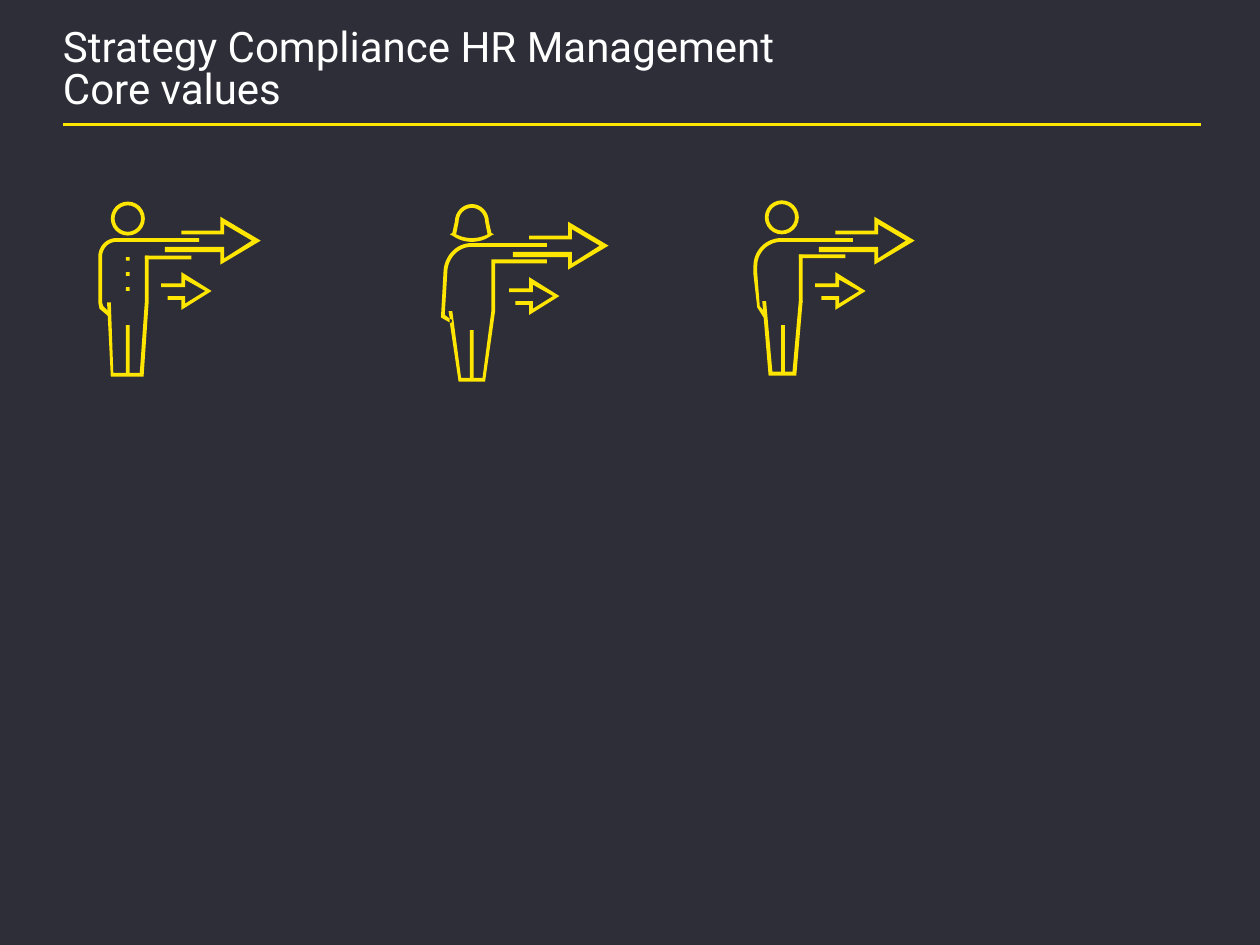
import math

from pptx import Presentation
from pptx import util as u
from pptx.dml.color import RGBColor
from pptx.enum import shapes, text
from pptx.oxml.ns import qn

BACKGROUND = RGBColor(0x2E, 0x2E, 0x38)
YELLOW = RGBColor(0xFF, 0xE6, 0x00)
WHITE = RGBColor(0xFF, 0xFF, 0xFF)

COLUMNS, ROWS = 1000, 750
CELL = u.Inches(10) // COLUMNS
STROKE = 3

LARGE_ARROW = [(44, 38), (44, 28), (0, 28), (0, 24), (47, 24), (47, 33), (69, 19),
               (47, 6), (47, 14), (13, 14), (13, 11), (44, 11), (44, 0), (76, 19)]
SMALL_ARROW = [(16, 30), (16, 22), (5, 22), (5, 19), (19, 19), (19, 25), (35, 15),
               (19, 6), (19, 12), (0, 12), (0, 9), (16, 9), (16, 0), (40, 15)]


def arc(center_x, center_y, radius_x, radius_y, start, end, steps=16):
    angles = [math.radians(start + (end - start) * i / steps) for i in range(steps + 1)]
    return [(center_x + radius_x * math.cos(a), center_y + radius_y * math.sin(a))
            for a in angles]


def paint(part):
    part.shadow.inherit = False
    part.fill.solid()
    part.fill.fore_color.rgb = YELLOW
    part.line.fill.background()


def add_outline(figure, box, *contours):
    left, top = box
    placed = [[((left + x) * CELL, (top + y) * CELL) for x, y in contour]
              for contour in contours]
    builder = figure.shapes.build_freeform(*placed[0][0], scale=1.0)
    builder.add_line_segments(placed[0][1:], close=True)
    for contour in placed[1:]:
        builder.move_to(*contour[0])
        builder.add_line_segments(contour[1:], close=True)
    paint(builder.convert_to_shape())


def add_preset(figure, box, preset, x, y, width, height):
    left, top = box
    part = figure.shapes.add_shape(preset, (left + x) * CELL, (top + y) * CELL,
                                   width * CELL, height * CELL)
    paint(part)
    return part


def add_bar(figure, box, x, y, width=STROKE, height=STROKE):
    add_preset(figure, box, shapes.MSO_SHAPE.RECTANGLE, x, y, width, height)


def add_head(figure, box, x, size=27):
    head = add_preset(figure, box, shapes.MSO_SHAPE.DONUT, x, 0, size, size)
    head.adjustments[0] = STROKE / size


def add_arrows(figure, box, x, y):
    left, top = box
    add_outline(figure, (left + x, top + y), LARGE_ARROW)
    add_outline(figure, (left + x - 3, top + y + 44), SMALL_ARROW)


def add_buttoned_figure(slide, box):
    figure = slide.shapes.add_group_shape()
    add_arrows(figure, box, 53, 12)
    add_head(figure, box, 10)
    add_bar(figure, box, 22, 29, width=58)
    add_bar(figure, box, 37, 43, width=37)
    add_outline(figure, box,
                [(32, 29)] + arc(14, 44, 14, 15, 270, 180)
                + [(0, 80), (1, 85), (8, 91), (10, 89), (4, 83), (3, 80)]
                + arc(14, 44, 11, 12, 180, 270) + [(32, 32)])
    add_outline(figure, box,
                [(37, 43), (37, 80), (33, 136), (12, 136), (10, 80), (7, 80),
                 (10, 139), (36, 139), (40, 80), (40, 43)])
    add_bar(figure, box, 22, 98, height=39)
    for button in range(3):
        add_bar(figure, box, 22, 44 + 12 * button)


def add_bobbed_figure(slide, box):
    figure = slide.shapes.add_group_shape()
    add_arrows(figure, box, 57, 14)
    add_bar(figure, box, 24, 31, width=60)
    add_bar(figure, box, 23, 100, height=39)
    add_outline(figure, box,
                [(42, 24), (40, 23)] + arc(24.5, 14, 13.5, 14, 0, -180)
                + [(9, 23), (7, 24)] + arc(24.5, 3.5, 26.5, 26.5, 126, 54),
                arc(24.5, 14, 10.5, 11, 180, 360)
                + arc(24.5, -0.5, 27.5, 27.5, 63, 117))
    add_outline(figure, box,
                [(3, 88)] + arc(24, 55, 19, 21, 180, 270)
                + arc(24, 55, 22, 24, 270, 180) + [(0, 90), (7, 94), (7, 91)])
    add_outline(figure, box,
                [(40, 44), (40, 85), (33, 138), (16, 138), (9, 85), (6, 85), (7, 91),
                 (9, 92), (8, 95), (7, 94), (14, 141), (35, 141), (43, 85), (43, 47),
                 (84, 47), (84, 44)])


def add_plain_figure(slide, box):
    figure = slide.shapes.add_group_shape()
    add_arrows(figure, box, 52, 13)
    add_head(figure, box, 9)
    add_outline(figure, box,
                [(34, 139), (12, 139), (7, 80), (10, 80), (15, 136), (31, 136),
                 (36, 80), (39, 80)])
    add_bar(figure, box, 22, 99, height=39)
    add_outline(figure, box,
                arc(22, 52, 22, 22, 270, 180)
                + [(0, 59), (3, 85), (8, 93), (11, 91), (5, 84), (3, 58)]
                + arc(22, 52, 19, 19, 180, 270))
    add_bar(figure, box, 22, 30, width=57)
    add_bar(figure, box, 36, 43, height=38)
    add_bar(figure, box, 36, 43, width=37)


def add_heading(slide, left, top, width, height):
    title = slide.shapes.add_textbox(left * CELL, top * CELL, width * CELL, height * CELL)
    frame = title.text_frame
    frame.word_wrap = True
    frame.vertical_anchor = text.MSO_ANCHOR.TOP
    frame.margin_left = frame.margin_top = frame.margin_right = frame.margin_bottom = 0
    heading = frame.paragraphs[0]
    heading.text = "Strategy Compliance HR Management\vCore values"
    heading.line_spacing = 0.85
    for run in heading.runs:
        run.font.name = "Roboto"
        run.font.size = u.Pt(24)
        run.font.color.rgb = WHITE

    rule_y = (top + 77) * CELL
    rule = slide.shapes.add_connector(shapes.MSO_CONNECTOR.STRAIGHT, left * CELL, rule_y,
                                      (left + 903) * CELL, rule_y)
    rule.line.color.rgb = YELLOW
    rule.line.width = u.Pt(1.5)
    properties = rule.line._get_or_add_ln().getparent()
    properties.append(properties.makeelement(qn("a:effectLst"), {}))


def main():
    deck = Presentation()
    deck.slide_width, deck.slide_height = COLUMNS * CELL, ROWS * CELL
    slide = deck.slides.add_slide(deck.slide_layouts[6])
    slide.background.fill.solid()
    slide.background.fill.fore_color.rgb = BACKGROUND
    add_heading(slide, 50, 22, 900, 65)
    add_buttoned_figure(slide, (78, 160))
    add_bobbed_figure(slide, (350, 162))
    add_plain_figure(slide, (598, 159))
    deck.save("out.pptx")


if __name__ == "__main__":
    main()
